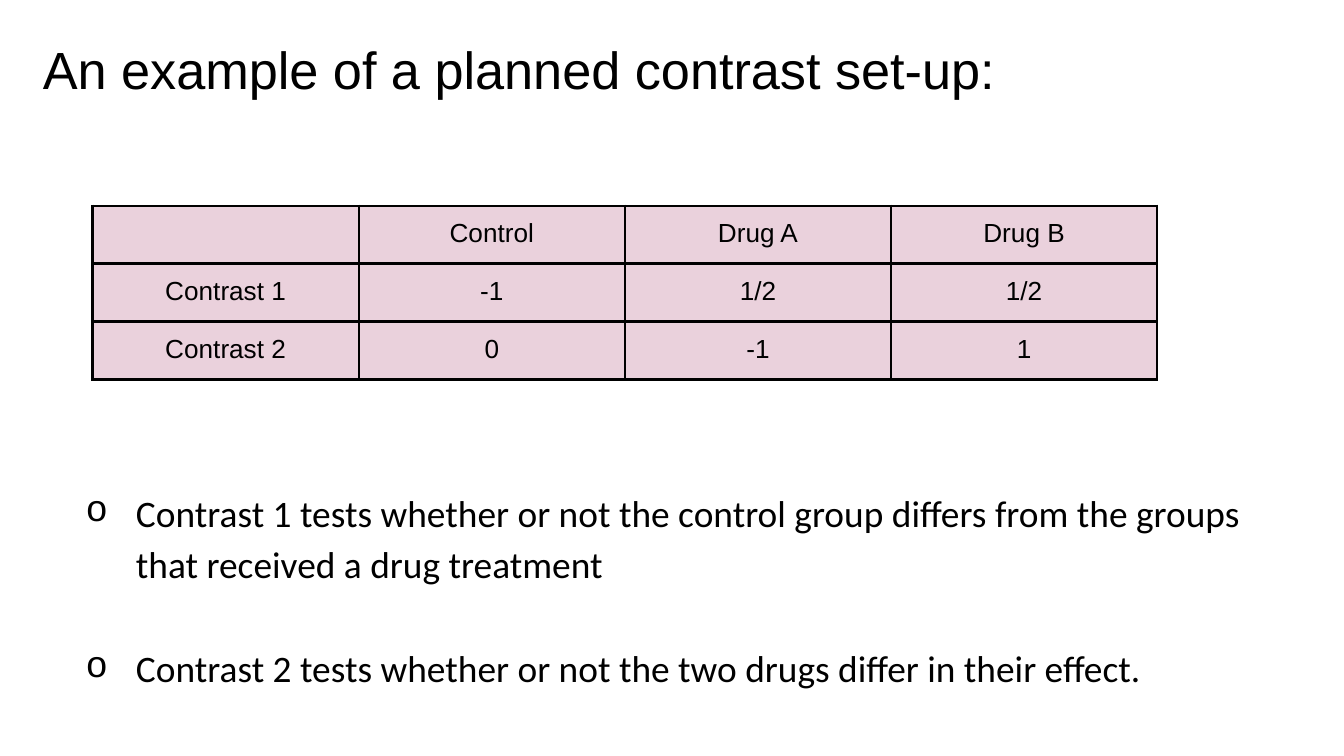
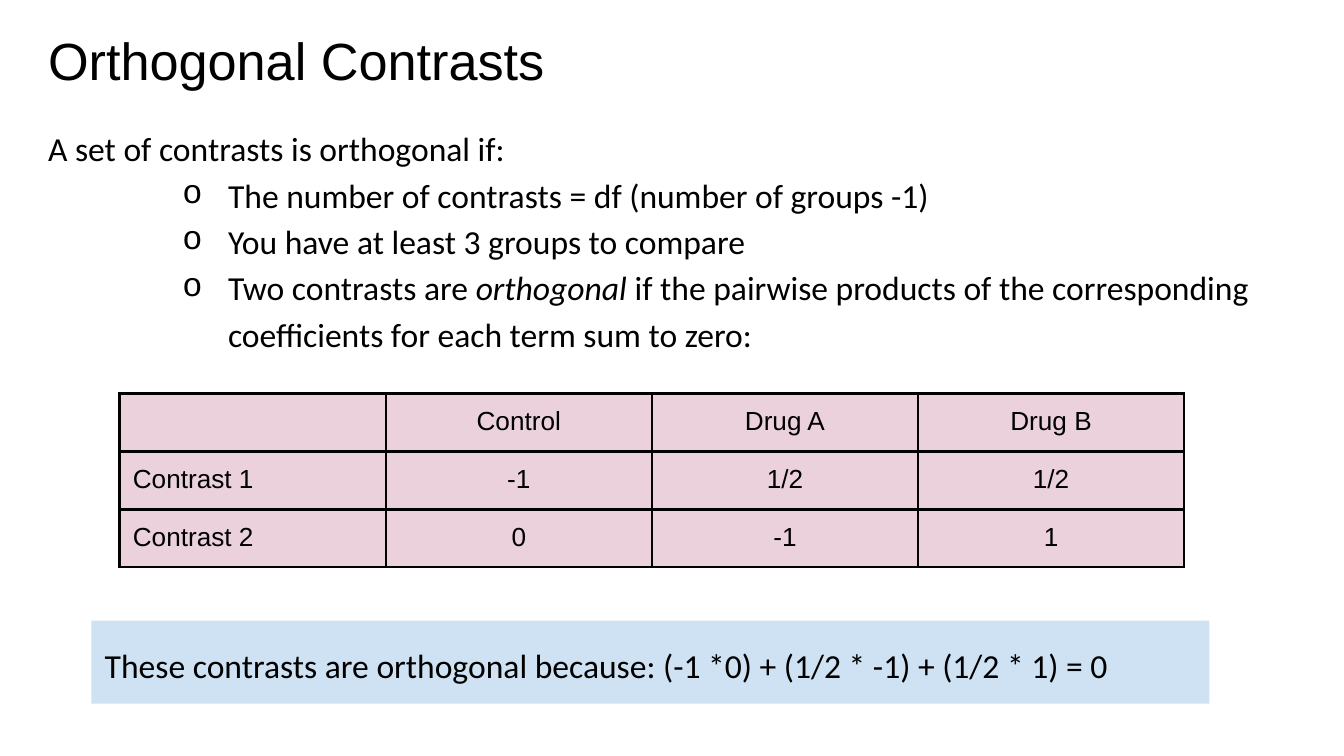
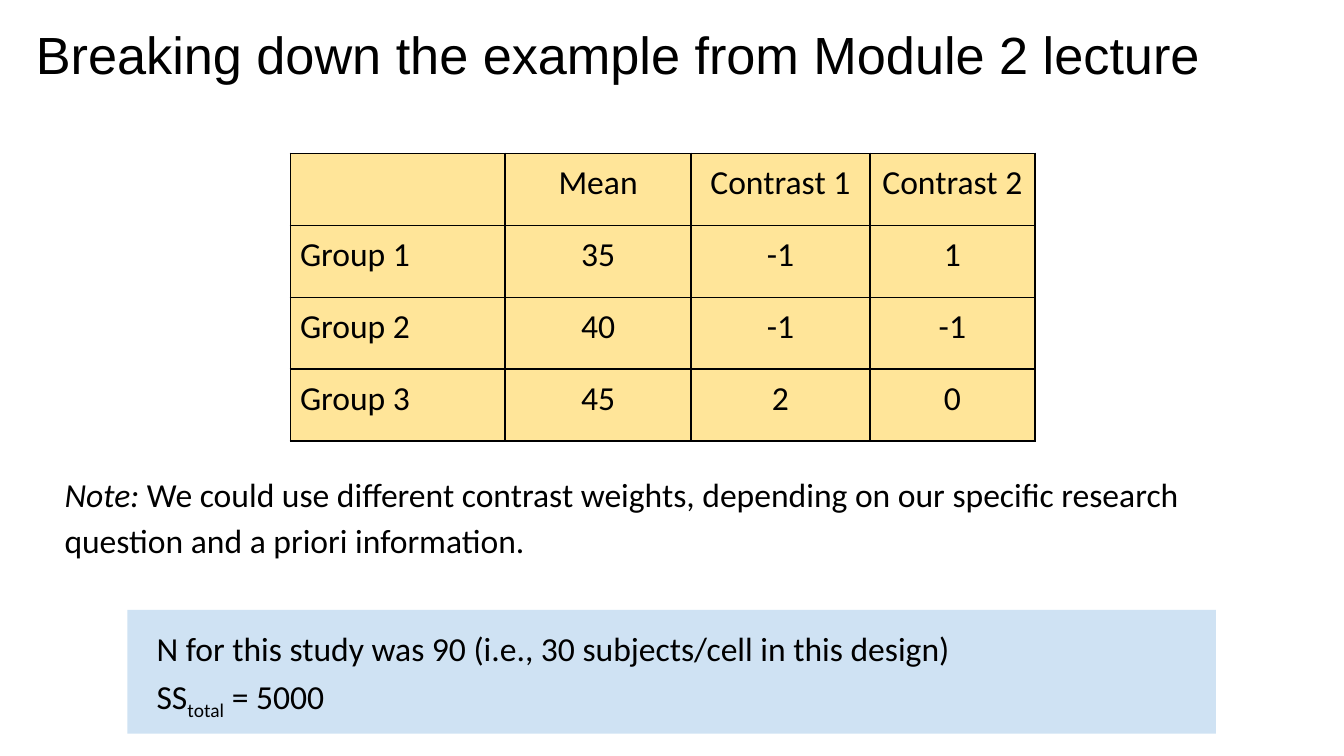
from dataclasses import dataclass

from lxml.etree import SubElement
from pptx import Presentation
from pptx.dml.color import RGBColor
from pptx.enum.shapes import MSO_SHAPE
from pptx.enum.text import MSO_ANCHOR, PP_ALIGN
from pptx.oxml.ns import qn
from pptx.util import Cm, Pt


@dataclass(frozen=True)
class Theme:
    ink: str = "000000"
    pink: str = "EAD1DC"
    yellow: str = "FFE599"
    blue: str = "CFE2F3"
    heading_font: str = "Arial"
    body_font: str = "Calibri"
    bullet_font: str = "Courier New"
    title_size: int = 28
    large_size: int = 20
    body_size: int = 18
    small_size: int = 14
    line_spacing: float = 1.15
    inset: float = 0.25


class Deck:
    def __init__(self, theme):
        self.theme = theme
        self.presentation = Presentation()
        self.presentation.slide_width = Cm(25.4)
        self.presentation.slide_height = Cm(14.29)
        self.slide = None

    def add_slide(self, title, left, top):
        layout = self.presentation.slide_layouts[6]
        self.slide = self.presentation.slides.add_slide(layout)
        frame = self.text_box(left, top, 23.67, 1.6)
        self.add_runs(frame.paragraphs[0], [title], self.theme.heading_font, self.theme.title_size)

    def text_box(self, left, top, width, height, anchor=MSO_ANCHOR.TOP):
        shape = self.slide.shapes.add_textbox(Cm(left), Cm(top), Cm(width), Cm(height))
        return self.prepare(shape.text_frame, anchor)

    def panel(self, left, top, width, height):
        shape = self.slide.shapes.add_shape(
            MSO_SHAPE.RECTANGLE, Cm(left), Cm(top), Cm(width), Cm(height)
        )
        shape.shadow.inherit = False
        shape.fill.solid()
        shape.fill.fore_color.rgb = RGBColor.from_string(self.theme.blue)
        shape.line.fill.background()
        return self.prepare(shape.text_frame, MSO_ANCHOR.MIDDLE)

    def prepare(self, frame, anchor):
        frame.word_wrap = True
        frame.vertical_anchor = anchor
        self.set_margins(frame, self.theme.inset)
        return frame

    def set_margins(self, target, inset):
        target.margin_left = target.margin_right = Cm(inset)
        target.margin_top = target.margin_bottom = Cm(inset)

    def add_runs(self, paragraph, runs, font, size, align=PP_ALIGN.LEFT):
        paragraph.alignment = align
        for item in runs:
            text, style = item if isinstance(item, tuple) else (item, None)
            run = paragraph.add_run()
            run.text = text
            run.font.name = font
            run.font.size = Pt(size)
            run.font.color.rgb = RGBColor.from_string(self.theme.ink)
            if style == "italic":
                run.font.italic = True
            if style == "subscript":
                run.font._element.set("baseline", "-25000")

    def body(self, frame, lines, size=None, first_indent=0):
        for index, runs in enumerate(lines):
            paragraph = frame.paragraphs[0] if index == 0 else frame.add_paragraph()
            paragraph.line_spacing = self.theme.line_spacing
            if first_indent:
                paragraph._p.get_or_add_pPr().set("indent", str(Cm(first_indent)))
            self.add_runs(paragraph, runs, self.theme.body_font, size or self.theme.body_size)
        return frame.paragraphs

    def bullet(self, paragraph, position, gap):
        properties = paragraph._p.get_or_add_pPr()
        properties.set("marL", str(Cm(position + gap)))
        properties.set("indent", str(-Cm(gap)))
        SubElement(properties, qn("a:buFont"), typeface=self.theme.bullet_font)
        SubElement(properties, qn("a:buChar"), char="o")

    def table(self, left, top, widths, row_height, rows, fill, font, size,
              border=1.5, inset=0.25, label_align=PP_ALIGN.LEFT):
        frame = self.slide.shapes.add_table(
            len(rows), len(widths), Cm(left), Cm(top),
            Cm(sum(widths)), Cm(row_height * len(rows)),
        )
        table = frame.table
        table.first_row = table.horz_banding = False
        for column, width in zip(table.columns, widths):
            column.width = Cm(width)
        for row, values in zip(table.rows, rows):
            row.height = Cm(row_height)
            for index, (cell, value) in enumerate(zip(row.cells, values)):
                self.set_margins(cell, inset)
                self.border(cell, border)
                cell.fill.solid()
                cell.fill.fore_color.rgb = RGBColor.from_string(fill)
                paragraph = cell.text_frame.paragraphs[0]
                if value:
                    align = PP_ALIGN.CENTER if index else label_align
                    self.add_runs(paragraph, [value], font, size, align)
                else:
                    SubElement(paragraph._p, qn("a:endParaRPr"), sz=str(size * 100))

    def border(self, cell, width):
        properties = cell._tc.get_or_add_tcPr()
        for side in ("lnL", "lnR", "lnT", "lnB"):
            line = SubElement(properties, qn(f"a:{side}"), w=str(Pt(width)))
            color = SubElement(line, qn("a:solidFill"))
            SubElement(color, qn("a:srgbClr"), val=self.theme.ink)

    def contrast_table(self, left, top, label_align=PP_ALIGN.LEFT):
        rows = [
            ("", "Control", "Drug A", "Drug B"),
            ("Contrast 1", "-1", "1/2", "1/2"),
            ("Contrast 2", "0", "-1", "1"),
        ]
        self.table(left, top, [5.03] * 4, 1.06, rows, self.theme.pink,
                   self.theme.heading_font, self.theme.small_size, label_align=label_align)


def planned_contrast(deck):
    deck.add_slide("An example of a planned contrast set-up:", 0.56, 0.46)
    frame = deck.text_box(0.1, 6.15, 24.1, 7.14, MSO_ANCHOR.BOTTOM)
    paragraphs = deck.body(frame, [
        ["Contrast 1 tests whether or not the control group differs from the groups "
         "that received a drug treatment"],
        ["Contrast 2 tests whether or not the two drugs differ in their effect."],
    ], deck.theme.large_size)
    for paragraph in paragraphs:
        deck.bullet(paragraph, 1.27, 0.95)
    paragraphs[1].space_before = Pt(28)
    deck.contrast_table(1.75, 3.89, PP_ALIGN.CENTER)


def orthogonal_contrasts(deck):
    deck.add_slide("Orthogonal Contrasts", 0.66, 0.28)
    paragraphs = deck.body(deck.text_box(0.66, 2.06, 23.67, 9.5), [
        ["A set of contrasts is orthogonal if:"],
        ["The number of contrasts = df (number of groups -1)"],
        ["You have at least 3 groups to compare"],
        ["Two contrasts are ", ("orthogonal ", "italic"),
         "if the pairwise products of the corresponding coefficients "
         "for each term sum to zero:"],
    ])
    for paragraph in paragraphs[1:]:
        deck.bullet(paragraph, 2.54, 0.86)
    deck.contrast_table(2.26, 7.44)
    deck.body(deck.panel(1.73, 11.73, 21.13, 1.57), [
        ["These contrasts are orthogonal because: (-1 *0) + (1/2 * -1) + (1/2 * 1) = 0"],
    ])


def module_example(deck):
    deck.add_slide("Breaking down the example from Module 2 lecture", 0.43, 0.18)
    rows = [
        ("", "Mean", "Contrast 1", "Contrast 2"),
        ("Group 1", "35", "-1", "1"),
        ("Group 2", "40", "-1", "-1"),
        ("Group 3", "45", "2", "0"),
    ]
    deck.table(5.49, 2.9, [4.06, 3.51, 3.38, 3.12], 1.36, rows, deck.theme.yellow,
               deck.theme.body_font, deck.theme.body_size, border=1, inset=0.18)
    deck.body(deck.text_box(0.97, 8.59, 22.76, 1.57), [
        [("Note:", "italic"),
         " We could use different contrast weights, depending on our specific research "
         "question and a priori information."],
    ])
    deck.body(deck.panel(2.41, 11.53, 20.57, 2.34), [
        ["N for this study was 90 (i.e., 30 subjects/cell in this design)"],
        ["SS", ("total", "subscript"), " = 5000"],
    ], first_indent=0.3)


def main():
    deck = Deck(Theme())
    planned_contrast(deck)
    orthogonal_contrasts(deck)
    module_example(deck)
    deck.presentation.save("out.pptx")


if __name__ == "__main__":
    main()
